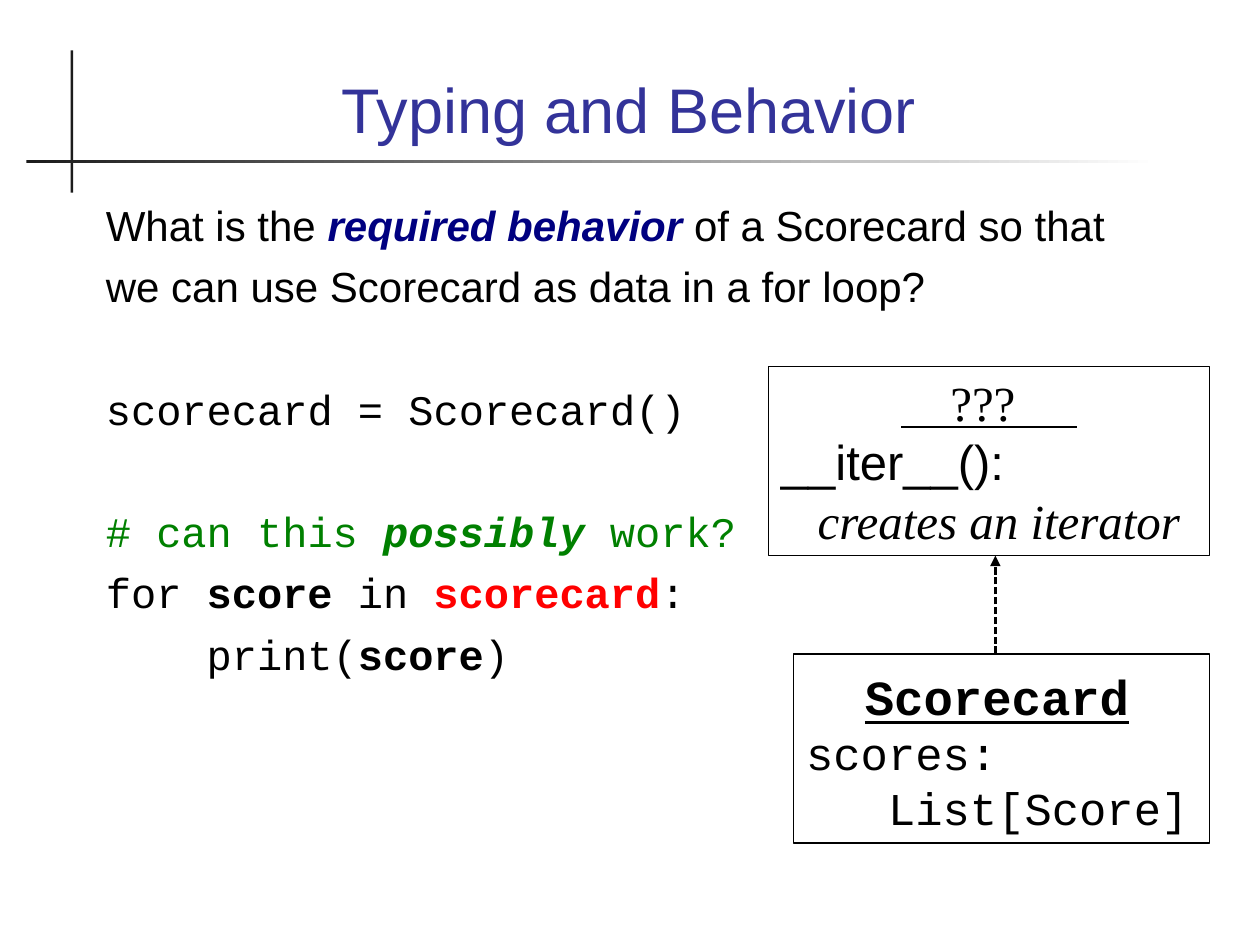
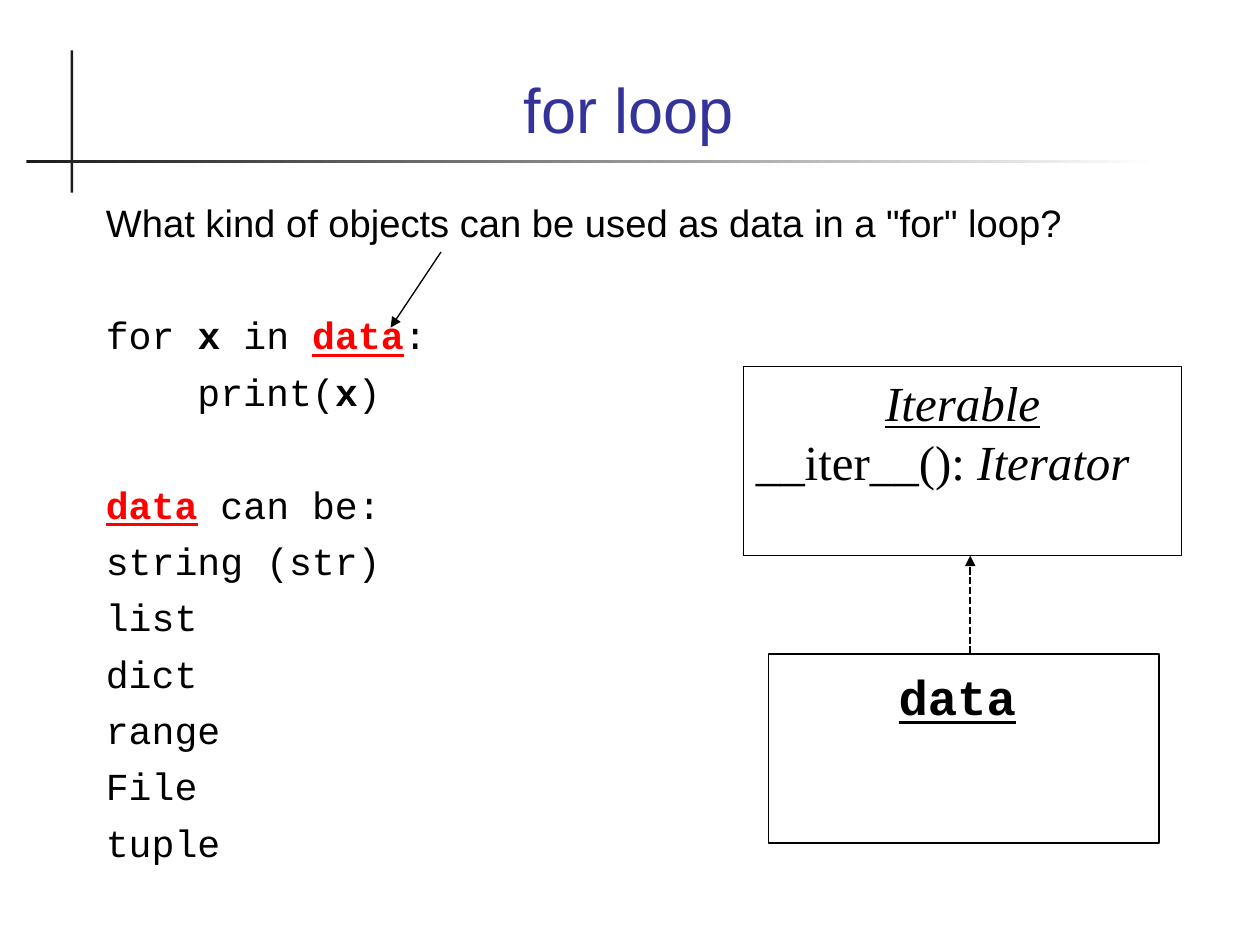
from dataclasses import dataclass

from lxml import etree
from pptx import Presentation
from pptx import util as u
from pptx.dml.color import RGBColor
from pptx.enum import dml, shapes, text
from pptx.oxml import ns

# Grid shared by every slide: 100 columns by 75 rows
COLUMNS, ROWS = 100, 75
WIDTH, HEIGHT = u.Inches(10), u.Inches(7.5)

BLACK, RULE, WHITE = "000000", "1C1C1C", "FFFFFF"
TITLE, TERM, COMMENT, DATA = "333399", "000080", "008000", "FF0000"
SANS, MONO, SERIF = "Arial", "Courier New", "Times New Roman"
MONO_ADVANCE = 0.6  # character width as a share of the font size
PARAGRAPH_GAP = 6


@dataclass
class Line:
    """One paragraph; each run is (text, style letters b/i/u, colour)."""
    runs: list
    font: str
    size: float
    pitch: float
    gap: float = 0
    indent: float = 0
    centred: bool = False


def colour(value):
    return RGBColor.from_string(value)


def columns(count):
    return round(WIDTH * count / COLUMNS)


def rows(count):
    return round(HEIGHT * count / ROWS)


def place(box):
    left, top, width, height = box
    return columns(left), rows(top), columns(width), rows(height)


def write(frame, lines):
    """Fill a text frame with formatted lines."""
    frame.word_wrap = True
    frame.auto_size = text.MSO_AUTO_SIZE.NONE
    for index, line in enumerate(lines):
        paragraph = frame.add_paragraph() if index else frame.paragraphs[0]
        paragraph.alignment = text.PP_ALIGN.CENTER if line.centred else text.PP_ALIGN.LEFT
        paragraph.line_spacing = u.Pt(line.pitch)
        paragraph.space_before = u.Pt(line.gap)
        properties = paragraph._p.get_or_add_pPr()
        properties.set("marL", str(u.Pt(line.indent)))
        properties.set("indent", "0")
        etree.SubElement(properties, ns.qn("a:buNone"))
        for words, style, shade in line.runs:
            run = paragraph.add_run()
            run.text = words
            font = run.font
            font.name, font.size = line.font, u.Pt(line.size)
            font.bold, font.italic, font.underline = (letter in style for letter in "biu")
            font.color.rgb = colour(shade)


def plain(words):
    return [(words, "", BLACK)]


def add_box(slide, box):
    shape = slide.shapes.add_shape(shapes.MSO_SHAPE.RECTANGLE, *place(box))
    shape.shadow.inherit = False
    return shape


def add_title_frame(slide):
    """The crossing rules beside and below the title."""
    upright = add_box(slide, (5.6, 4, 0.2, 11.3))
    upright.fill.solid()
    upright.fill.fore_color.rgb = colour(RULE)
    level = add_box(slide, (2.1, 12.7, 89.8, 0.2))
    level.fill.gradient()
    level.fill.gradient_angle = 0
    for stop, shade in zip(level.fill.gradient_stops, (RULE, WHITE)):
        stop.color.rgb = colour(shade)
    for rule in (upright, level):
        rule.line.fill.background()


def add_slide(presentation, title, body_lines, body_height):
    slide = presentation.slides.add_slide(presentation.slide_layouts[1])
    add_title_frame(slide)
    heading, body = slide.placeholders
    heading.left, heading.top, heading.width, heading.height = place((6.7, 2.8, 86.4, 9.3))
    heading.text_frame.vertical_anchor = text.MSO_ANCHOR.BOTTOM
    write(heading.text_frame, [Line([(title, "", TITLE)], SANS, 36, 41.4, centred=True)])
    body.left, body.top, body.width, body.height = place((7.4, 15.3, 86.4, body_height))
    body.text_frame.vertical_anchor = text.MSO_ANCHOR.TOP
    write(body.text_frame, body_lines)
    return slide


def body_line(size, pitch):
    """Return a maker of body lines that all share one size and pitch."""
    def make(runs, font=MONO, after_break=False, indent=0):
        gap = PARAGRAPH_GAP + after_break * (pitch + PARAGRAPH_GAP)
        return Line(runs, font, size, pitch, gap, indent * MONO_ADVANCE * size)
    return make


def add_arrow(slide, start, end, width, dashed=False):
    arrow = slide.shapes.add_connector(
        shapes.MSO_CONNECTOR.STRAIGHT,
        columns(start[0]), rows(start[1]), columns(end[0]), rows(end[1]))
    arrow.line.color.rgb = colour(BLACK)
    arrow.line.width = u.Pt(width)
    if dashed:
        arrow.line.dash_style = dml.MSO_LINE.SQUARE_DOT
    etree.SubElement(arrow.line._get_or_add_ln(), ns.qn("a:tailEnd"), type="triangle")
    etree.SubElement(arrow._element.spPr, ns.qn("a:effectLst"))


def add_class_box(slide, box, lines):
    shape = add_box(slide, box)
    shape.fill.background()
    shape.line.color.rgb = colour(BLACK)
    shape.line.width = u.Pt(0.75)
    shape.text_frame.vertical_anchor = text.MSO_ANCHOR.TOP
    write(shape.text_frame, lines)


def add_class_diagram(slide, left, interface_width, class_width, interface, members):
    """An interface box above the class that implements it."""
    height, interface_top, class_top = 15, 29.1, 51.9
    class_left, arrow_column = left + 2, left + 18
    add_class_box(slide, (class_left, class_top, class_width, height), members)
    add_arrow(slide, (arrow_column, class_top), (arrow_column, interface_top + height),
              1.42, dashed=True)
    add_class_box(slide, (left, interface_top, interface_width, height), interface)


def interface_line(runs, font=SERIF, **layout):
    return Line(runs, font, 28, 33.6, **layout)


def class_name(name, indent):
    return Line([(name, "bu", BLACK)], MONO, 28, 37, indent=indent * MONO_ADVANCE * 28)


def member(words, indent=0):
    return Line(plain(words), MONO, 26, 31.4, indent=indent * MONO_ADVANCE * 26)


def add_behavior_slide(presentation):
    line = body_line(24, 29)
    slide = add_slide(presentation, "Typing and Behavior", [
        line([("What is the ", "", BLACK), ("required behavior", "bi", TERM),
              (" of a Scorecard so that", "", BLACK)], SANS),
        line(plain("we can use Scorecard as data in a for loop?"), SANS),
        line(plain("scorecard = Scorecard()"), after_break=True),
        line([("# can this ", "", COMMENT), ("possibly", "bi", COMMENT),
              (" work?", "", COMMENT)], after_break=True),
        line([("for ", "", BLACK), ("score", "b", BLACK), (" in ", "", BLACK),
              ("scorecard", "b", DATA), (":", "", BLACK)]),
        line([("print(", "", BLACK), ("score", "b", BLACK), (")", "", BLACK)], indent=4),
    ], 48.7)
    add_class_diagram(
        slide, 61, 35, 33,
        # The underlined blank around the question marks is visible text
        [interface_line([("    ", "iu", BLACK), ("???", "u", BLACK), ("     ", "iu", BLACK)],
                        centred=True),
         interface_line(plain("__iter__():"), SANS),
         interface_line([("creates an iterator", "i", BLACK)], indent=21)],
        [class_name("Scorecard", 2), member("scores:"), member("List[Score]", 3)])


def add_loop_slide(presentation):
    line = body_line(21.8, 26.2)
    data = ("data", "bu", DATA)
    kinds = ("string (str)", "list", "dict", "range", "File", "tuple")
    slide = add_slide(presentation, "for loop", [
        line(plain('What kind of objects can be used as data in a "for" loop?'), SANS),
        line([("for ", "", BLACK), ("x", "b", BLACK), (" in ", "", BLACK), data,
              (":", "", BLACK)], after_break=True),
        line([("print(", "", BLACK), ("x", "b", BLACK), (")", "", BLACK)], indent=4),
        line([data, (" can be:", "", BLACK)], after_break=True),
        *(line(plain(kind)) for kind in kinds),
    ], 55.7)
    add_class_diagram(
        slide, 59, 34.8, 31,
        [interface_line([("Iterable", "iu", BLACK)], centred=True),
         interface_line([("__iter__():", "", BLACK), (" Iterator", "i", BLACK)])],
        [class_name("data", 4)])
    # Pointer from the question to the loop's data
    add_arrow(slide, (35, 20), (31, 26), 0.75)


def main():
    presentation = Presentation()
    presentation.slide_width, presentation.slide_height = WIDTH, HEIGHT
    add_behavior_slide(presentation)
    add_loop_slide(presentation)
    presentation.save("out.pptx")


if __name__ == "__main__":
    main()
